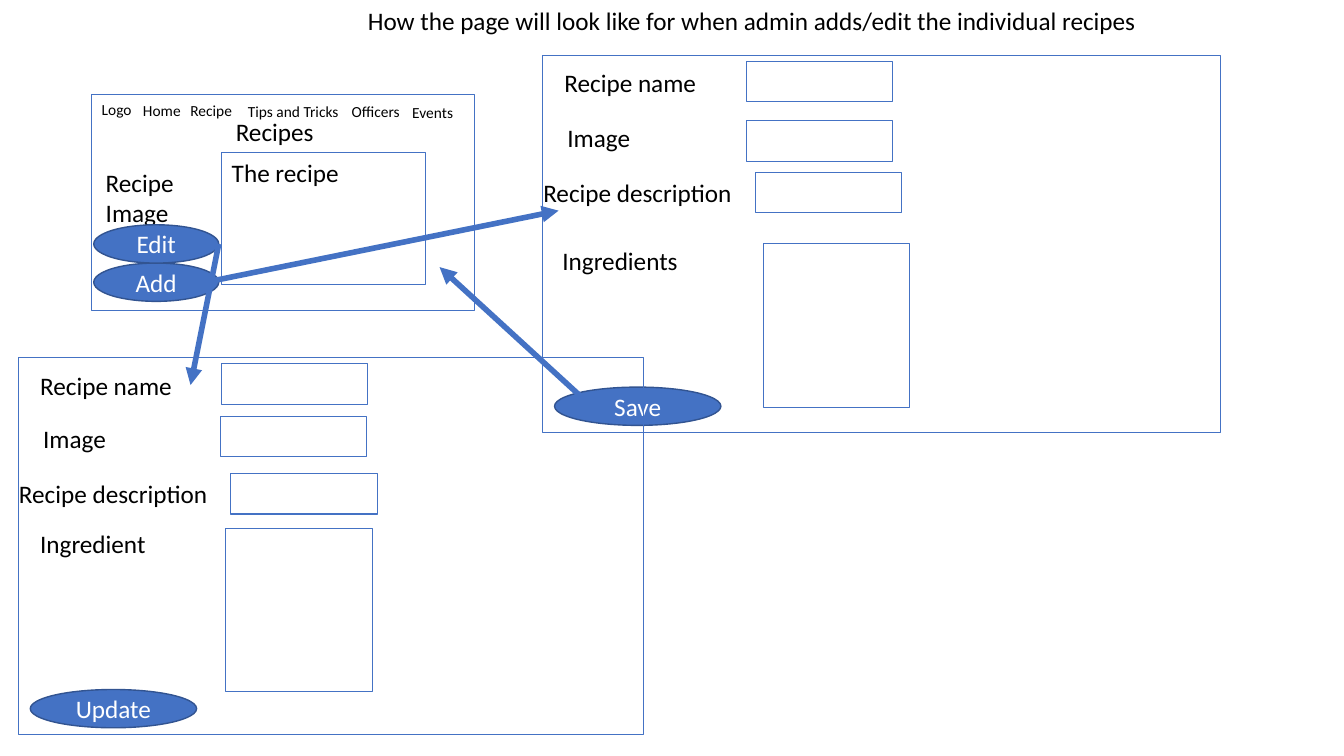
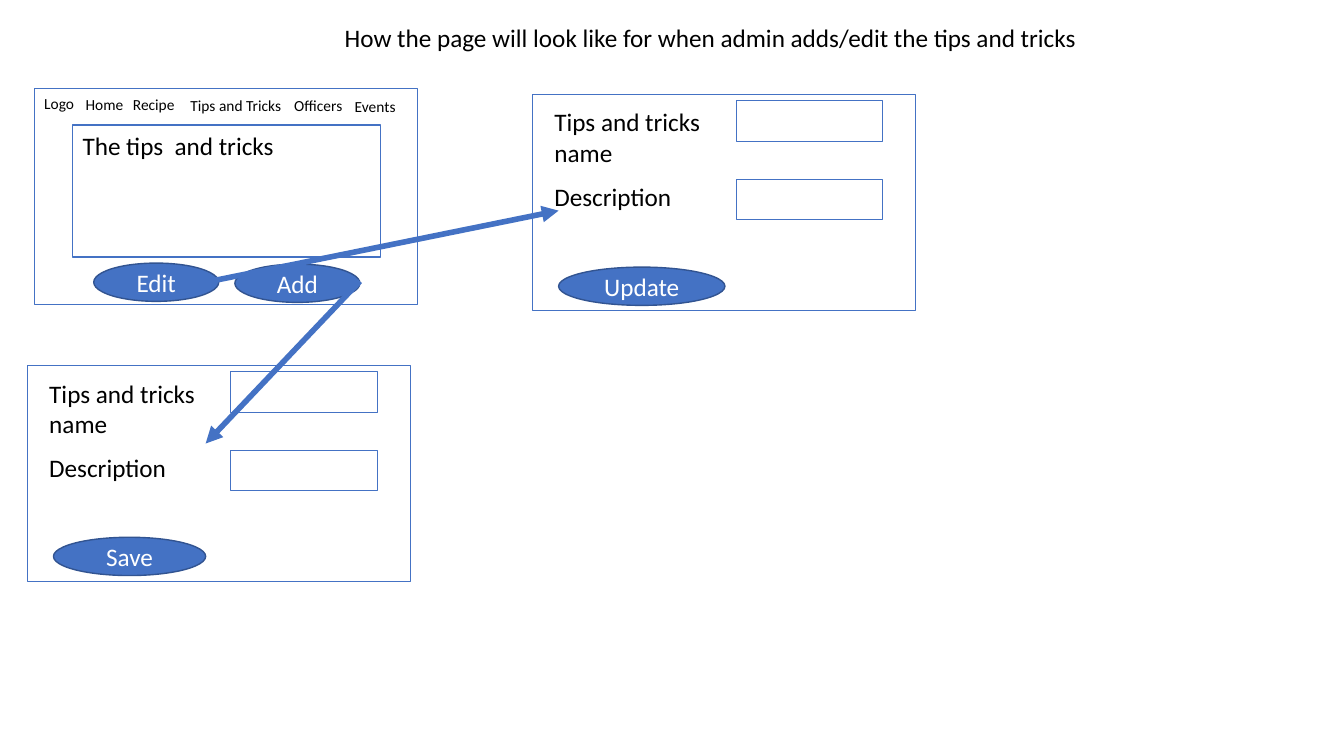
from dataclasses import dataclass

from lxml.etree import SubElement
from pptx import Presentation
from pptx.dml.color import RGBColor
from pptx.enum.shapes import MSO_CONNECTOR, MSO_SHAPE
from pptx.enum.text import MSO_ANCHOR, PP_ALIGN
from pptx.oxml.ns import qn
from pptx.util import Inches, Pt


@dataclass(frozen=True)
class Theme:
    font: str = "Calibri"
    text: RGBColor = RGBColor(0x00, 0x00, 0x00)
    accent: RGBColor = RGBColor(0x44, 0x72, 0xC4)
    button_edge: RGBColor = RGBColor(0x32, 0x54, 0x91)
    button_text: RGBColor = RGBColor(0xFF, 0xFF, 0xFF)
    body_size: int = 18
    menu_size: int = 11
    frame_line: float = 0.75
    button_line: float = 1
    arrow_line: float = 4


THEME = Theme()

SITE_SIZE = (3.8, 2.14)
RECIPE_FORM_HEIGHT = 3.74
FIELD_WIDTH = 1.45
LINE_FIELD, LIST_FIELD = 0.4, 1.62
LABEL_WIDTH, LONG_LABEL_WIDTH = 1.87, 2.37
BUTTON_HEIGHT = 0.38
SITE_BUTTON_WIDTH, FORM_BUTTON_WIDTH = 1.24, 1.65

# Menu entry: text, offset from the page corner, width
MENU = [
    ("Logo", 0, 0, 0.63),
    ("Home", 0.41, 0.01, 0.63),
    ("Recipe", 0.88, 0.01, 0.73),
    ("Tips and Tricks", 1.45, 0.02, 1.25),
    ("Officers", 2.48, 0.02, 0.83),
    ("Events", 3.08, 0.03, 0.73),
]

# Form row: label, label offset, label width, field offset, field height
NAME_ROW = ("Recipe name", (0.12, 0.07), LABEL_WIDTH, (2.02, 0.06), LINE_FIELD)
ADD_RECIPE_ROWS = [
    NAME_ROW,
    ("Image", (0.15, 0.61), LABEL_WIDTH, (2.02, 0.65), LINE_FIELD),
    ("Recipe description", (-0.09, 1.16), LONG_LABEL_WIDTH, (2.11, 1.16), LINE_FIELD),
    ("Ingredients", (0.1, 1.83), LABEL_WIDTH, (2.19, 1.87), LIST_FIELD),
]
EDIT_RECIPE_ROWS = [
    NAME_ROW,
    ("Image", (0.15, 0.6), LABEL_WIDTH, (2.01, 0.58), LINE_FIELD),
    ("Recipe description", (-0.09, 1.15), LONG_LABEL_WIDTH, (2.11, 1.15), LINE_FIELD),
    ("Ingredient", (0.12, 1.64), LABEL_WIDTH, (2.06, 1.69), LIST_FIELD),
]
TIP_ROWS = [
    ("Tips and tricks name", (0.12, 0.07), LABEL_WIDTH, (2.02, 0.06), LINE_FIELD),
    ("Description", (0.12, 0.81), LABEL_WIDTH, (2.02, 0.84), LINE_FIELD),
]

# Boxes are left, top, width, height; buttons are text, left, top, width
PAGES = [
    {
        "title": ("How the page will look like for when admin adds/edit the individual recipes",
                  (3.55, 0, 7.98, 0.4)),
        "site": (0.91, 0.94),
        "labels": [("Recipe Image", (0.95, 1.61, 1.08, 1.01)),
                   ("Recipes", (2.24, 1.11, 1.49, 0.4))],
        "content": ("The recipe", (2.2, 1.51, 2.02, 1.31)),
        "buttons": [("Add", 0.93, 2.61, SITE_BUTTON_WIDTH),
                    ("Edit", 0.93, 2.23, SITE_BUTTON_WIDTH)],
        "forms": [
            {"box": (5.38, 0.55, 6.73, RECIPE_FORM_HEIGHT), "rows": ADD_RECIPE_ROWS,
             "button": ("Save", 5.5, 3.84, FORM_BUTTON_WIDTH)},
            {"box": (0.18, 3.55, 6.2, RECIPE_FORM_HEIGHT), "rows": EDIT_RECIPE_ROWS,
             "button": ("Update", 0.3, 6.84, FORM_BUTTON_WIDTH)},
        ],
        "arrows": [((2.04, 2.8), (5.54, 2.09)),
                   ((5.79, 3.96), (4.36, 2.65)),
                   ((2.17, 2.42), (1.89, 3.82))],
    },
    {
        "title": ("How the page will look like for when admin adds/edit the tips and tricks",
                  (3.32, 0.17, 7.61, 0.4)),
        "site": (0.34, 0.88),
        "labels": [],
        "content": ("The tips  and tricks", (0.72, 1.24, 3.05, 1.31)),
        "buttons": [("Edit", 0.93, 2.61, SITE_BUTTON_WIDTH),
                    ("Add", 2.33, 2.62, SITE_BUTTON_WIDTH)],
        "forms": [
            {"box": (5.28, 0.94, *SITE_SIZE), "rows": TIP_ROWS,
             "button": ("Update", 5.54, 2.65, FORM_BUTTON_WIDTH)},
            {"box": (0.27, 3.63, *SITE_SIZE), "rows": TIP_ROWS,
             "button": ("Save", 0.53, 5.33, 1.51)},
        ],
        "arrows": [((2.04, 2.8), (5.54, 2.09)),
                   ((3.57, 2.79), (2.04, 4.4))],
    },
]


def inches(values):
    return [Inches(value) for value in values]


def write(shape, text, size=THEME.body_size, color=THEME.text, align=PP_ALIGN.LEFT,
          anchor=MSO_ANCHOR.TOP, wrap=True):
    frame = shape.text_frame
    frame.text = text
    frame.word_wrap = wrap
    frame.vertical_anchor = anchor
    para = frame.paragraphs[0]
    para.alignment = align
    font = para.runs[0].font
    font.name = THEME.font
    font.size = Pt(size)
    font.color.rgb = color


def add_label(page, text, box, **style):
    write(page.shapes.add_textbox(*inches(box)), text, **style)


def add_frame(page, box):
    frame = page.shapes.add_shape(MSO_SHAPE.RECTANGLE, *inches(box))
    frame.shadow.inherit = False
    frame.fill.background()
    frame.line.color.rgb = THEME.accent
    frame.line.width = Pt(THEME.frame_line)
    return frame


def add_button(page, text, left, top, width):
    button = page.shapes.add_shape(MSO_SHAPE.OVAL, *inches((left, top, width, BUTTON_HEIGHT)))
    button.shadow.inherit = False
    button.fill.solid()
    button.fill.fore_color.rgb = THEME.accent
    button.line.color.rgb = THEME.button_edge
    button.line.width = Pt(THEME.button_line)
    write(button, text, color=THEME.button_text, align=PP_ALIGN.CENTER,
          anchor=MSO_ANCHOR.MIDDLE)


def add_arrow(page, start, end):
    arrow = page.shapes.add_connector(MSO_CONNECTOR.STRAIGHT, *inches(start + end))
    arrow.line.color.rgb = THEME.accent
    arrow.line.width = Pt(THEME.arrow_line)
    SubElement(arrow.line._get_or_add_ln(), qn("a:tailEnd"), type="triangle")
    SubElement(arrow._element.spPr, qn("a:effectLst"))


def add_site(page, content):
    """Draw the public page with its menu, content box and admin buttons."""
    left, top = content["site"]
    add_frame(page, (left, top, *SITE_SIZE))
    for text, across, down, width in MENU:
        add_label(page, text, (left + across, top + down, width, 0.29), size=THEME.menu_size)
    for text, box in content["labels"]:
        add_label(page, text, box)
    text, box = content["content"]
    write(add_frame(page, box), text)
    for button in content["buttons"]:
        add_button(page, *button)


def add_form(page, form):
    left, top = form["box"][:2]
    add_frame(page, form["box"])
    for text, label, label_width, field, field_height in form["rows"]:
        add_label(page, text, (left + label[0], top + label[1], label_width, 0.4))
        add_frame(page, (left + field[0], top + field[1], FIELD_WIDTH, field_height))
    add_button(page, *form["button"])


def main():
    deck = Presentation()
    deck.slide_width, deck.slide_height = Inches(13.33), Inches(7.5)
    for content in PAGES:
        page = deck.slides.add_slide(deck.slide_layouts[6])
        title, box = content["title"]
        add_label(page, title, box, wrap=False)
        add_site(page, content)
        for form in content["forms"]:
            add_form(page, form)
        for start, end in content["arrows"]:
            add_arrow(page, start, end)
    deck.save("out.pptx")


if __name__ == "__main__":
    main()
